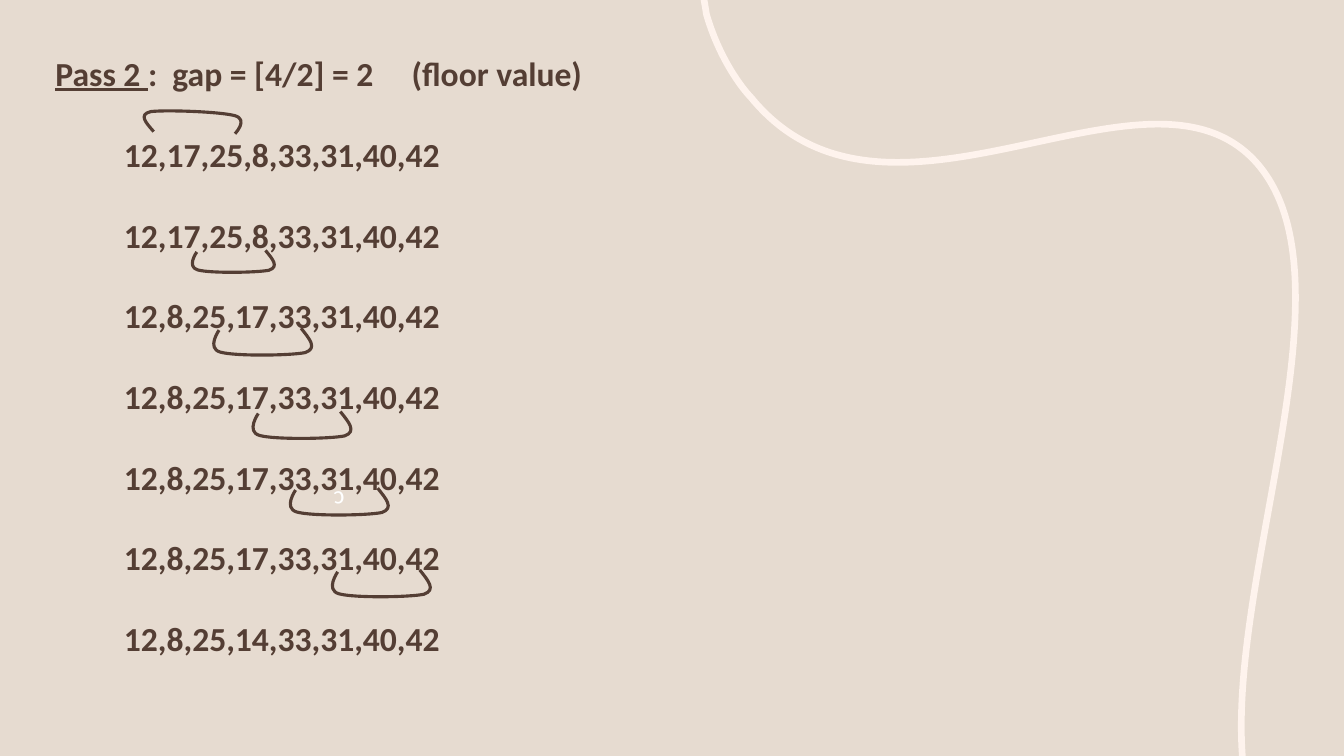
from lxml import etree
from pptx import Presentation
from pptx.dml.color import RGBColor
from pptx.enum.text import MSO_ANCHOR, MSO_AUTO_SIZE, PP_ALIGN
from pptx.oxml.ns import qn
from pptx.util import Cm, Pt

TOP, MIDDLE = MSO_ANCHOR.TOP, MSO_ANCHOR.MIDDLE
LEFT, CENTER = PP_ALIGN.LEFT, PP_ALIGN.CENTER
NO_AUTOFIT = MSO_AUTO_SIZE.NONE
FONT = "Calibri"
SAND, CREAM, BROWN, WHITE = "E6DBD0", "FEF3ED", "543E34", "FFFFFF"
GRID = 1000
ROTATION = 176.9

WAVE = [(911, 1000),
        (886, 756), (1104, 372), (937, 220),
        (753, 54), (313, 354), (80, 132),
        (66, 121), (27, 82), (5, 23),
        (3, 13), (0, 0), (0, 0)]
BRACKET = [(100, 910),
           (20, 520), (-60, 170), (70, 40),
           (220, -40), (790, 40), (940, 220),
           (1080, 390), (940, 1000), (940, 1000)]

ARRAYS = ["12,17,25,8,33,31,40,42"] * 2 + ["12,8,25,17,33,31,40,42"] * 4 + ["12,8,25,14,33,31,40,42"]
BRACKETS = [
    ((3.63, 2.79, 2.44, 0.58), 0, ""),
    ((4.85, 6.3, 2.06, 0.58), ROTATION, ""),
    ((5.39, 8.26, 2.46, 0.71), ROTATION, ""),
    ((6.38, 10.36, 2.46, 0.71), ROTATION, ""),
    ((7.32, 12.29, 2.46, 0.71), ROTATION, "c"),
    ((8.38, 14.35, 2.46, 0.71), ROTATION, ""),
]


def color(value):
    return RGBColor.from_string(value)


def place(shape, box):
    shape.left, shape.top, shape.width, shape.height = map(Cm, box)


def format_run(run, size, value, bold):
    run.font.name, run.font.size, run.font.bold = FONT, Pt(size), bold
    run.font.color.rgb = color(value)


def prepare_frame(shape, box):
    place(shape, box)
    frame = shape.text_frame
    frame.auto_size, frame.vertical_anchor, frame.word_wrap = NO_AUTOFIT, TOP, True
    return frame


def bend_outline(shape, controls):
    outline = next(shape._element.iter(qn("a:path")))
    for segment in list(outline):
        outline.remove(segment)
    outline.set("w", str(GRID))
    outline.set("h", str(GRID))
    groups = [controls[:1]] + [controls[first:first + 3] for first in range(1, len(controls), 3)]
    for group in groups:
        tag = "a:moveTo" if len(group) == 1 else "a:cubicBezTo"
        segment = etree.SubElement(outline, qn(tag))
        for x, y in group:
            etree.SubElement(segment, qn("a:pt"), x=str(x), y=str(y))


def add_curve(slide, box, controls, value, weight):
    builder = slide.shapes.build_freeform(*controls[0])
    builder.add_line_segments(controls[3::3], close=False)
    shape = builder.convert_to_shape()
    bend_outline(shape, controls)
    place(shape, box)
    shape.shadow.inherit = False
    shape.fill.background()
    shape.line.color.rgb = color(value)
    shape.line.width = Pt(weight)
    return shape


def add_heading(slide, box):
    frame = prepare_frame(slide.shapes.title, box)
    paragraph = frame.paragraphs[0]
    paragraph.alignment = LEFT
    for text, underlined in (("Pass 2 ", True), (":\tgap = [4/2] = 2\t(floor value)", False)):
        run = paragraph.add_run()
        run.text = text
        format_run(run, 24, BROWN, True)
        run.font.underline = underlined
    tabs = etree.SubElement(paragraph._p.get_or_add_pPr(), qn("a:tabLst"))
    for position in (2.95, 8.98):
        etree.SubElement(tabs, qn("a:tab"), pos=str(Cm(position)), algn="l")


def add_arrays(slide, box):
    frame = prepare_frame(slide.placeholders[1], box)
    frame.text = "\n".join(ARRAYS)
    for paragraph in frame.paragraphs:
        paragraph.alignment = LEFT
        paragraph.space_before, paragraph.space_after = Pt(0), Pt(28.8)
        properties = paragraph._p.get_or_add_pPr()
        properties.set("marL", "0")
        properties.set("indent", "0")
        etree.SubElement(properties, qn("a:buNone"))
        format_run(paragraph.runs[0], 24, BROWN, True)


def add_bracket(slide, box, rotation, label):
    shape = add_curve(slide, box, BRACKET, BROWN, 2.25)
    shape.rotation = rotation
    if label:
        frame = shape.text_frame
        frame.text = label
        frame.vertical_anchor = MIDDLE
        frame.paragraphs[0].alignment = CENTER
        format_run(frame.paragraphs[0].runs[0], 18, WHITE, False)


presentation = Presentation()
presentation.slide_width, presentation.slide_height = Cm(33.87), Cm(19.05)
slide = presentation.slides.add_slide(presentation.slide_layouts[1])
slide.background.fill.solid()
slide.background.fill.fore_color.rgb = color(SAND)
add_curve(slide, (17.73, -0.08, 14.91, 19.18), WAVE, CREAM, 4.75)
add_heading(slide, (1.14, 1.2, 29.49, 1.3))
add_arrays(slide, (2.87, 3.25, 27.74, 13.62))
for bracket in BRACKETS:
    add_bracket(slide, *bracket)
presentation.save("out.pptx")
